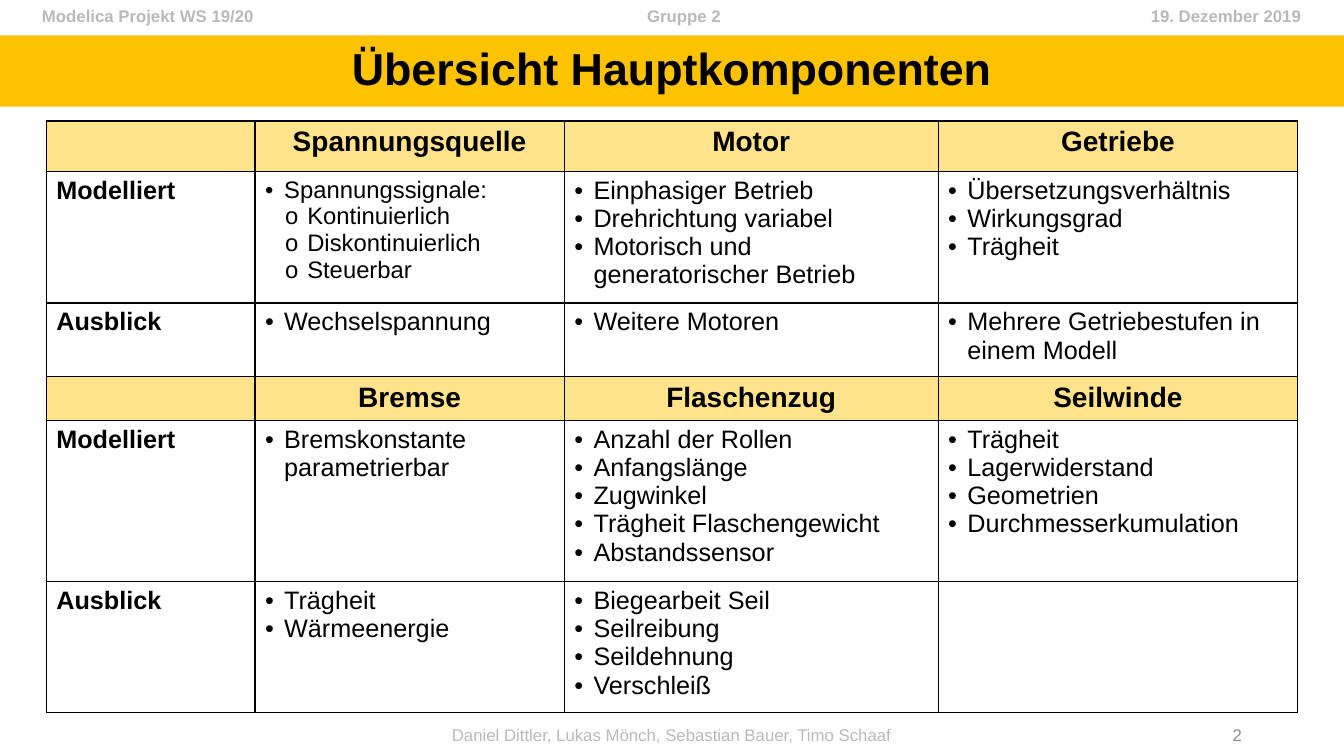
from lxml import etree
from pptx import Presentation
from pptx.dml.color import RGBColor
from pptx.enum import shapes, text
from pptx.oxml import ns
from pptx.util import Pt

BLACK = RGBColor(0x00, 0x00, 0x00)
WHITE = RGBColor(0xFF, 0xFF, 0xFF)
GOLD = RGBColor(0xFD, 0xC3, 0x00)
LIGHT_GOLD = RGBColor(0xFF, 0xE3, 0x8B)
LIGHT_GRAY = RGBColor(0xB9, 0xB9, 0xB9)
GRAY = RGBColor(0x8C, 0x8C, 0x8C)

LEFT, CENTER, RIGHT = text.PP_ALIGN.LEFT, text.PP_ALIGN.CENTER, text.PP_ALIGN.RIGHT
COLUMN_WIDTHS = [149, 221, 267, 257]
TABLE_LEFT = 33.1
BULLETS = [("•", 13.7, -13.7), ("o", 30.2, -15.8)]

DRIVE_ROWS = [
    ["", "Spannungsquelle", "Motor", "Getriebe"],
    ["Modelliert",
     ["Spannungssignale:", ["Kontinuierlich", "Diskontinuierlich", "Steuerbar"]],
     ["Einphasiger Betrieb", "Drehrichtung variabel",
      "Motorisch und generatorischer Betrieb"],
     ["Übersetzungsverhältnis", "Wirkungsgrad", "Trägheit"]],
    ["Ausblick", ["Wechselspannung"], ["Weitere Motoren"],
     ["Mehrere Getriebestufen in einem Modell"]],
]
HOIST_ROWS = [
    ["", "Bremse", "Flaschenzug", "Seilwinde"],
    ["Modelliert", ["Bremskonstante parametrierbar"],
     ["Anzahl der Rollen", "Anfangslänge", "Zugwinkel",
      "Trägheit Flaschengewicht", "Abstandssensor"],
     ["Trägheit", "Lagerwiderstand", "Geometrien", "Durchmesserkumulation"]],
    ["Ausblick", ["Trägheit", "Wärmeenergie"],
     ["Biegearbeit Seil", "Seilreibung", "Seildehnung", "Verschleiß"], ""],
]


def add_element(parent, tag, **attributes):
    """Append a DrawingML element with the given attributes."""
    values = {name: str(value) for name, value in attributes.items()}
    return etree.SubElement(parent, ns.qn(tag), values)


def write(paragraph, content, size, color=BLACK, bold=False, align=LEFT):
    """Fill a paragraph with formatted text."""
    paragraph.text = content
    paragraph.alignment = align
    for run in paragraph.runs:
        run.font.name = "Arial"
        run.font.size = Pt(size)
        run.font.bold = bold
        run.font.color.rgb = color


def add_label(slide, box, content, color, bold=False, align=LEFT):
    """Add a vertically centred line of small text and return its frame."""
    frame = slide.shapes.add_textbox(*map(Pt, box)).text_frame
    frame.word_wrap = True
    frame.vertical_anchor = text.MSO_ANCHOR.MIDDLE
    write(frame.paragraphs[0], content, 12, color, bold, align)
    return frame


def add_header(slide, parts):
    """Add the top line with left, centred and right-aligned parts."""
    frame = add_label(slide, (0, 0, 960, 23), "\t".join(parts), LIGHT_GRAY, True)
    frame.margin_left, frame.margin_right = Pt(30), Pt(0)
    tabs = add_element(frame.paragraphs[0]._p.get_or_add_pPr(), "a:tabLst")
    for position, alignment in ((458.6, "ctr"), (899.4, "r")):
        add_element(tabs, "a:tab", pos=Pt(position), algn=alignment)


def add_title(slide, content):
    """Add the full-width title band."""
    band = slide.shapes.add_shape(
        shapes.MSO_SHAPE.RECTANGLE, Pt(0), Pt(25.2), Pt(960), Pt(51))
    band.shadow.inherit = False
    band.fill.solid()
    band.fill.fore_color.rgb = GOLD
    band.line.fill.background()
    band.text_frame.vertical_anchor = text.MSO_ANCHOR.MIDDLE
    paragraph = band.text_frame.paragraphs[0]
    write(paragraph, content, 32, bold=True, align=CENTER)
    paragraph.line_spacing = 0.9


def write_bullets(frame, items):
    """Write a bullet list whose nested lists become sub-bullets."""
    nested = any(isinstance(item, list) for item in items)
    entries = []
    for item in items:
        if isinstance(item, list):
            entries += [(child, 1) for child in item]
        else:
            entries.append((item, 0))
    for index, (content, level) in enumerate(entries):
        paragraph = frame.add_paragraph() if index else frame.paragraphs[0]
        write(paragraph, content, 17 if nested else 18)
        paragraph.level = level
        symbol, margin, indent = BULLETS[level]
        properties = paragraph._p.get_or_add_pPr()
        properties.set("marL", str(Pt(margin)))
        properties.set("indent", str(Pt(indent)))
        add_element(properties, "a:buFont", typeface="Arial")
        add_element(properties, "a:buChar", char=symbol)


def style_cell(cell, color):
    """Give a cell black borders and a solid fill."""
    properties = cell._tc.get_or_add_tcPr()
    for side in ("a:lnL", "a:lnR", "a:lnT", "a:lnB"):
        line = add_element(properties, side, w=Pt(1))
        fill = add_element(line, "a:solidFill")
        add_element(fill, "a:srgbClr", val=BLACK)
    cell.fill.solid()
    cell.fill.fore_color.rgb = color


def add_component_table(slide, top, heights, rows):
    """Add a table with component headings and bullet lists."""
    table = slide.shapes.add_table(
        len(rows), len(COLUMN_WIDTHS), Pt(TABLE_LEFT), Pt(top),
        Pt(sum(COLUMN_WIDTHS)), Pt(sum(heights))).table
    for column, width in zip(table.columns, COLUMN_WIDTHS):
        column.width = Pt(width)
    for row_index, (height, row) in enumerate(zip(heights, rows)):
        table.rows[row_index].height = Pt(height)
        heading = row_index == 0
        for column_index, content in enumerate(row):
            cell = table.cell(row_index, column_index)
            style_cell(cell, LIGHT_GOLD if heading else WHITE)
            if isinstance(content, list):
                write_bullets(cell.text_frame, content)
            elif content:
                write(cell.text_frame.paragraphs[0], content,
                      20 if heading else 18, bold=True,
                      align=CENTER if heading else LEFT)


def main():
    """Build the component overview slide."""
    presentation = Presentation()
    presentation.slide_width, presentation.slide_height = Pt(960), Pt(540)
    slide = presentation.slides.add_slide(presentation.slide_layouts[6])
    add_label(slide, (306.7, 510.5, 346.3, 28.8),
              "Daniel Dittler, Lukas Mönch, Sebastian Bauer, Timo Schaaf",
              LIGHT_GRAY, align=CENTER)
    add_label(slide, (678.2, 510.5, 216, 28.8), "2", GRAY, align=RIGHT)
    add_component_table(slide, 86.4, [36, 94, 52.6], DRIVE_ROWS)
    add_component_table(slide, 269, [30, 108, 88], HOIST_ROWS)
    add_title(slide, "Übersicht Hauptkomponenten")
    add_header(slide, ["Modelica Projekt WS 19/20", "Gruppe 2", "19. Dezember 2019"])
    presentation.save("out.pptx")


if __name__ == "__main__":
    main()
